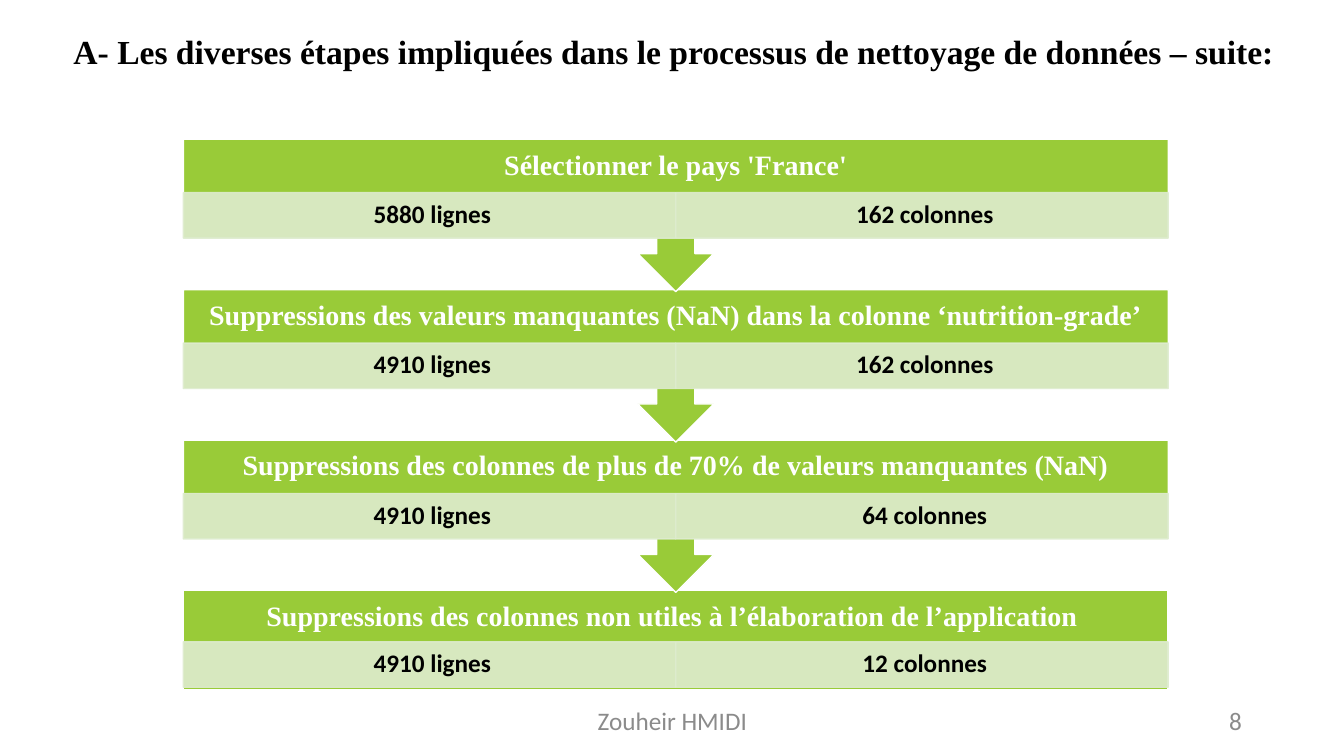
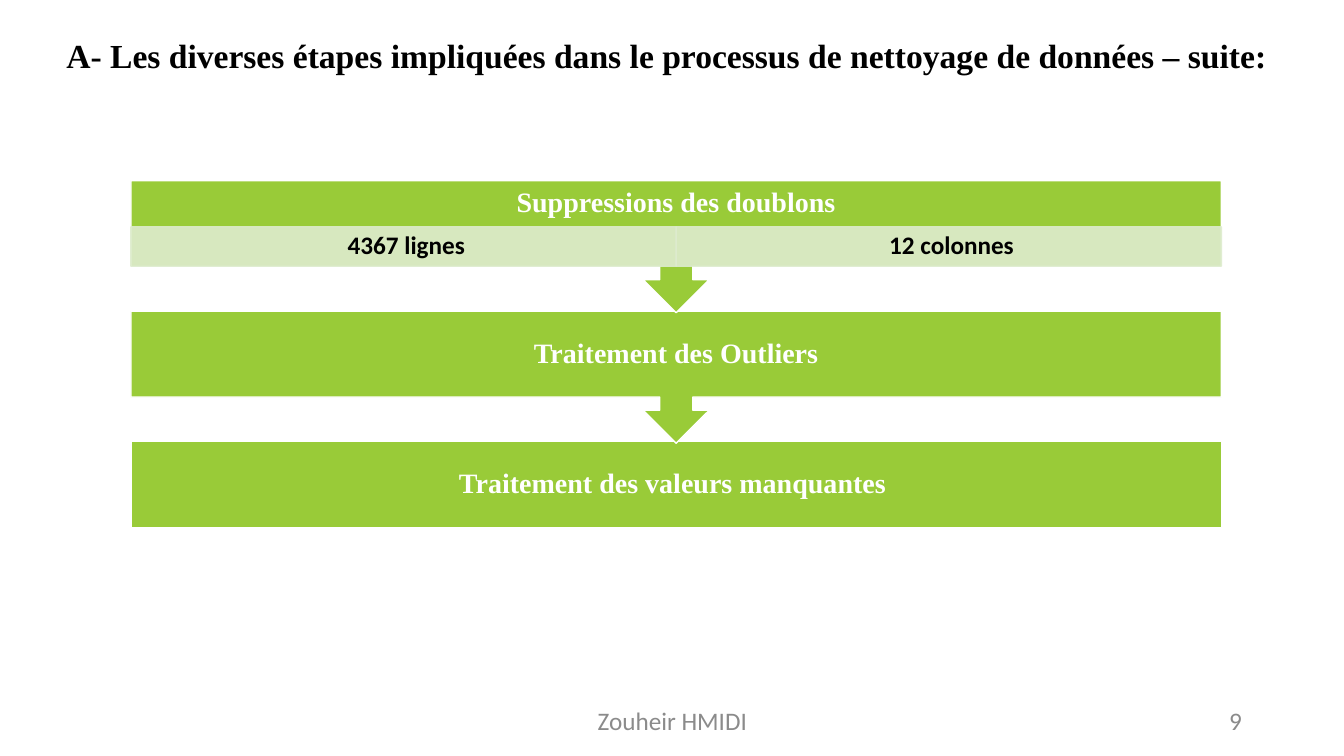
from copy import deepcopy

from lxml import etree
from pptx import Presentation
from pptx import util as u
from pptx.dml.color import RGBColor
from pptx.enum import shapes, text
from pptx.oxml.ns import qn

# Shared look
GREEN, PALE, WHITE, BLACK = "99CB38", "DEECCE", "FFFFFF", "000000"
TITLE = "A- Les diverses étapes impliquées dans le processus de nettoyage de données – suite:"
FOOTER = "Zouheir HMIDI"
FOOTER_TYPES = (shapes.PP_PLACEHOLDER.FOOTER, shapes.PP_PLACEHOLDER.SLIDE_NUMBER)

# Each step: heading, then its cells
SLIDES = [
    dict(
        title_box=(1.6, 0.66, 31), left=4.62, top=3.51, width=24.82,
        pitch=3.79, callout=3.84, box=2.49, last_header=0.52,
        steps=[
            ("Sélectionner le pays 'France'", [" 5880 lignes", " 162 colonnes"]),
            ("Suppressions des valeurs manquantes (NaN) dans la colonne ‘nutrition-grade’",
             [" 4910 lignes", " 162 colonnes"]),
            ("Suppressions des colonnes de plus de 70% de valeurs manquantes (NaN)",
             [" 4910 lignes", " 64 colonnes"]),
            ("Suppressions des colonnes non utiles à l’élaboration de l’application ",
             [" 4910 lignes", " 12 colonnes"]),
        ],
    ),
    dict(
        title_box=(1.42, 0.74, 31.2), left=3.3, top=4.55, width=27.48,
        pitch=3.29, callout=3.33, box=2.16, last_header=1,
        steps=[
            ("Suppressions des doublons", [" 4367 lignes", " 12 colonnes"]),
            ("Traitement des Outliers", []),
            ("Traitement des valeurs manquantes ", []),
        ],
    ),
]


def paint(color_format, color, alpha=None):
    """Set a colour, with an optional opacity in percent."""
    color_format.rgb = RGBColor.from_string(color)
    if alpha:
        for element in color_format._xFill.iter(qn("a:srgbClr")):
            etree.SubElement(element, qn("a:alpha"), val=str(alpha * 1000))


def write(shape, words, size, font, color, align, anchor, side):
    """Put one bold line of text in a shape."""
    frame = shape.text_frame
    frame.word_wrap = True
    frame.auto_size = text.MSO_AUTO_SIZE.NONE
    frame.vertical_anchor = anchor
    frame.margin_left = frame.margin_right = u.Cm(side)
    frame.margin_top = frame.margin_bottom = u.Cm(0)
    paragraph = frame.paragraphs[0]
    paragraph.alignment = align
    paragraph.line_spacing = 0.9
    run = paragraph.add_run()
    run.text = words
    run.font.size, run.font.name, run.font.bold = u.Pt(size), font, True
    paint(run.font.color, color)


presentation = Presentation()
presentation.slide_width, presentation.slide_height = u.Cm(33.87), u.Cm(19.05)
presentation.element.set("firstSlideNum", "8")
layout = presentation.slide_layouts.get_by_name("Title Only")

# Footer and number positions, set once on the master
footer_places = dict(zip(FOOTER_TYPES, [(11.23, 11.43), (23.93, 7.62)]))
for placeholder in presentation.slide_master.placeholders:
    kind = placeholder.placeholder_format.type
    if kind in footer_places:
        left, width = footer_places[kind]
        placeholder.left, placeholder.top = u.Cm(left), u.Cm(17.66)
        placeholder.width, placeholder.height = u.Cm(width), u.Cm(1.01)

for content in SLIDES:
    slide = presentation.slides.add_slide(layout)

    # Title
    title = slide.shapes.title
    left, top, width = content["title_box"]
    title.left, title.top = u.Cm(left), u.Cm(top)
    title.width, title.height = u.Cm(width), u.Cm(2.06)
    write(title, TITLE, 24, "Times New Roman", BLACK,
          text.PP_ALIGN.LEFT, text.MSO_ANCHOR.TOP, 0.25)
    title.text_frame.margin_top = u.Cm(0.13)
    title.text_frame.margin_right = u.Cm(0)
    title.text_frame.paragraphs[0].line_spacing = 1

    # Footer and slide number
    for placeholder in layout.placeholders:
        if placeholder.placeholder_format.type in FOOTER_TYPES:
            slide.shapes._spTree.append(deepcopy(placeholder._element))
    for placeholder in slide.placeholders:
        if placeholder.placeholder_format.type == shapes.PP_PLACEHOLDER.FOOTER:
            placeholder.text_frame.paragraphs[0].add_run().text = FOOTER

    # Steps, last one first so that each arrow overlaps the next box
    left, width, box = content["left"], content["width"], content["box"]
    last = len(content["steps"]) - 1
    for index, (heading, cells) in reversed(list(enumerate(content["steps"]))):
        top = content["top"] + index * content["pitch"]
        is_last = index == last
        preset = shapes.MSO_SHAPE.RECTANGLE if is_last else shapes.MSO_SHAPE.UP_ARROW_CALLOUT
        block = slide.shapes.add_shape(
            preset, u.Cm(left), u.Cm(top), u.Cm(width),
            u.Cm(box if is_last else content["callout"]))
        block.rotation = 0 if is_last else 180
        block.shadow.inherit = False
        block.fill.solid()
        paint(block.fill.fore_color, GREEN)
        block.line.width = u.Pt(1)
        paint(block.line.color, WHITE)

        # Heading
        header = box * 0.54 if cells else box
        label = slide.shapes.add_textbox(u.Cm(left), u.Cm(top), u.Cm(width), u.Cm(header))
        write(label, heading, 20, "Times New Roman", WHITE,
              text.PP_ALIGN.CENTER, text.MSO_ANCHOR.MIDDLE, 0.4)

        # Row and column counts
        cell_top = top + box * (content["last_header"] if is_last else 0.54)
        for column, words in enumerate(cells):
            cell_width = width / len(cells)
            cell = slide.shapes.add_shape(
                shapes.MSO_SHAPE.RECTANGLE, u.Cm(left + column * cell_width),
                u.Cm(cell_top), u.Cm(cell_width), u.Cm(box * 0.46))
            cell.shadow.inherit = False
            cell.fill.solid()
            paint(cell.fill.fore_color, PALE, 90)
            cell.line.width = u.Pt(1)
            paint(cell.line.color, PALE, 90)
            write(cell, words, 18, "Calibri", BLACK,
                  text.PP_ALIGN.CENTER, text.MSO_ANCHOR.MIDDLE, 0.36)

presentation.save("out.pptx")
